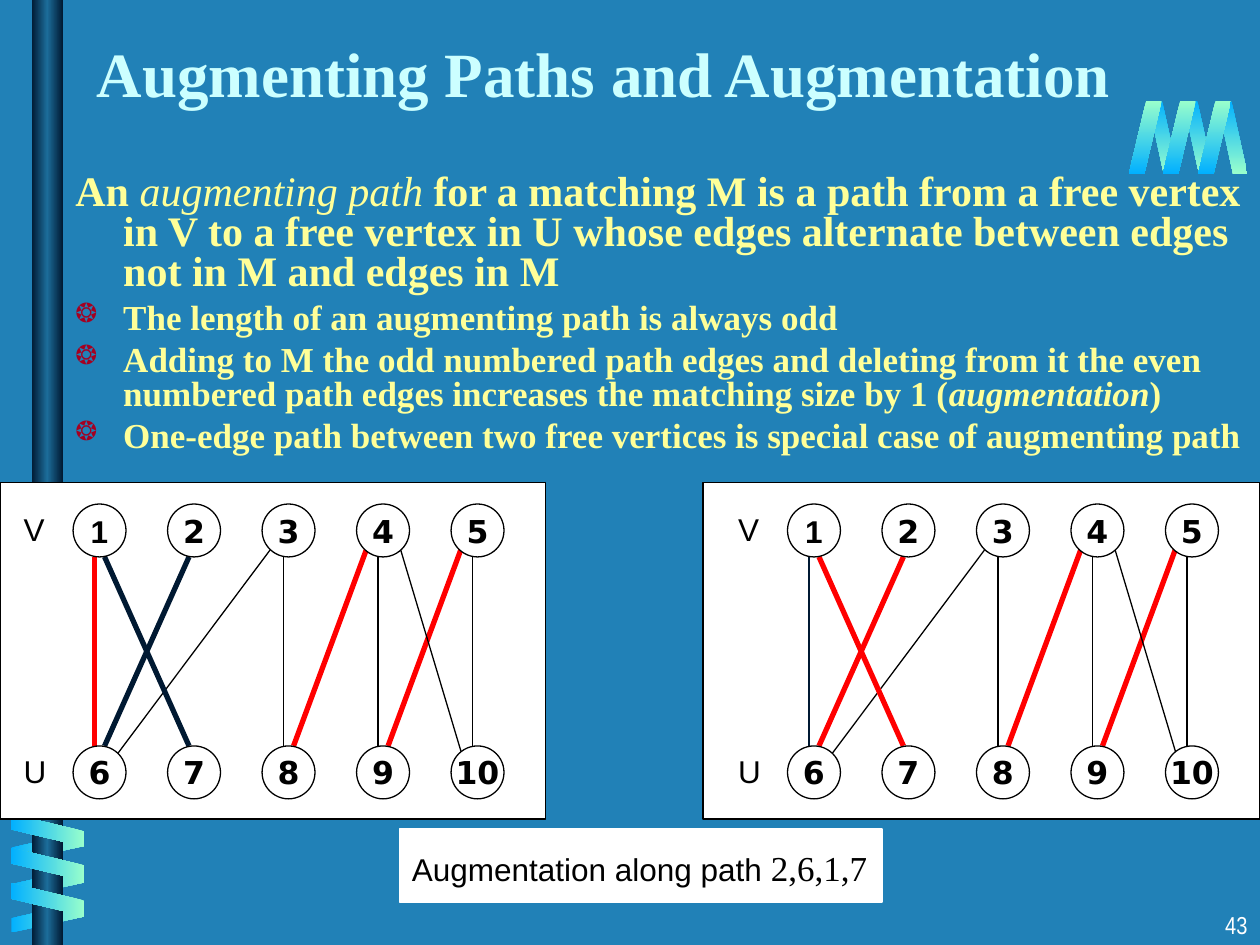
from lxml import etree
from pptx import Presentation, util as u
from pptx.dml.color import RGBColor
from pptx.enum import shapes as s, text as t
from pptx.oxml import ns

BLUE = RGBColor(0x21, 0x81, 0xB7)
NAVY = RGBColor(0x00, 0x19, 0x32)
STEEL = RGBColor(0x1C, 0x6D, 0x9A)
SKY = RGBColor(0x01, 0xB0, 0xFF)
MINT = RGBColor(0x99, 0xFF, 0xCC)
PALE = RGBColor(0xCC, 0xFF, 0xFF)
CREAM = RGBColor(0xFF, 0xFF, 0x99)
WINE = RGBColor(0xA5, 0x00, 0x21)
RED = RGBColor(0xFF, 0x00, 0x00)
BLACK = RGBColor(0x00, 0x00, 0x00)
WHITE = RGBColor(0xFF, 0xFF, 0xFF)
SERIF, SANS, ROUND = "Times New Roman", "Arial", "DejaVu Sans"

deck = Presentation()
deck.slide_width, deck.slide_height = u.Inches(10), u.Inches(7.5)
slide = deck.slides.add_slide(deck.slide_layouts[6])
slide.background.fill.solid()
slide.background.fill.fore_color.rgb = BLUE
tree = slide.shapes


def paint(shape, stops, angle=0, line=None):
    """Fill with one colour or an even gradient, and set the outline."""
    shape.shadow.inherit = False
    if len(stops) == 1:
        shape.fill.solid()
        shape.fill.fore_color.rgb = stops[0]
    else:
        shape.fill.gradient()
        grad = shape._element.spPr.find(ns.qn("a:gradFill"))
        grad.set("rotWithShape", "0")
        grad.find(ns.qn("a:lin")).set("ang", str(angle * 60000))
        band = grad.find(ns.qn("a:gsLst"))
        for old in list(band):
            band.remove(old)
        for i, tone in enumerate(stops):
            stop = etree.SubElement(band, ns.qn("a:gs"), pos=str(100000 * i // (len(stops) - 1)))
            etree.SubElement(stop, ns.qn("a:srgbClr"), val=str(tone))
    if line is None:
        shape.line.fill.background()
    else:
        shape.line.color.rgb = line
        shape.line.width = u.Pt(0.75)


def write(para, *runs):
    """Add runs of (words, font, size, colour, bold, italic)."""
    for words, face, size, tone, bold, slant in runs:
        run = para.add_run()
        run.text = words
        font = run.font
        font.name, font.size, font.bold, font.italic = face, u.Pt(size), bold, slant
        font.color.rgb = tone


# Springs behind and in front of the bars
top, side = (9.11, 9.39, 9.66), (6.43, 6.72, 6.99)
back = [(x, 0.8, 0.24, 180, 90) for x in top[::-1]] + [(0.26, y, 0.24, 90, 180) for y in side]
front = [(0.25, y, 0.26, 270, 180) for y in (6.3, 6.57, 6.85)]
front += [(x, 0.8, 0.26, 0, 90) for x in (9.51, 9.23, 8.96)]
for coils, tones in ((back, (SKY, MINT)), (front, (MINT, SKY))):
    for x, y, w, turn, angle in coils:
        coil = tree.add_shape(s.MSO_SHAPE.PARALLELOGRAM, u.Inches(x), u.Inches(y),
                              u.Inches(w), u.Inches(0.58))
        coil.adjustments[0] = 0.53
        coil.rotation = turn
        if coils is back:
            coil._element.spPr.find(ns.qn("a:xfrm")).set("flipH", "1")
        paint(coil, tones, angle)
    if coils is back:
        # Vertical and horizontal bars
        post = tree.add_shape(s.MSO_SHAPE.RECTANGLE, u.Inches(0.25), 0, u.Inches(0.25), u.Inches(7.5))
        paint(post, (NAVY, STEEL, NAVY), 180)
        pen = tree.build_freeform(10, 1, scale=u.Inches(1))
        pen.add_line_segments([(0.5, 1), (0.33, 1.12), (0.5, 1.25), (10, 1.25)])
        paint(pen.convert_to_shape(), (NAVY, STEEL, NAVY), 90)

# White panels: caption, left graph, right graph
for x, y, w, h, edge in ((3.17, 6.58, 3.83, 0.58, WHITE), (0, 3.83, 4.33, 2.67, BLACK),
                         (5.58, 3.83, 4.42, 2.67, BLACK)):
    panel = tree.add_shape(s.MSO_SHAPE.RECTANGLE, u.Inches(x), u.Inches(y), u.Inches(w), u.Inches(h))
    paint(panel, (WHITE,), line=edge)

# Graphs: edges as x1, y1, x2, y2, then the colour and width in each graph
thin, match, path = (BLACK, 0.75), (RED, 3), (NAVY, 3)
edges = [
    (2.25, 4.42, 2.25, 5.92, thin, thin),
    (3, 4.42, 3, 5.92, thin, thin),
    (3.75, 4.42, 3.75, 5.92, thin, thin),
    (2.17, 4.33, 0.92, 6, thin, thin),
    (2.92, 4.33, 2.33, 5.92, match, match),
    (3.67, 4.33, 3.08, 5.92, match, match),
    (3.17, 4.33, 3.67, 6, thin, thin),
    (1.5, 4.42, 0.83, 5.92, path, match),
    (0.83, 4.42, 1.5, 5.92, path, match),
    (0.75, 4.42, 0.75, 5.92, match, (NAVY, 0.75)),
]
for side, left in enumerate((0, 5.67)):
    for x1, y1, x2, y2, *looks in edges:
        edge = tree.add_connector(s.MSO_CONNECTOR.STRAIGHT, u.Inches(left + x1), u.Inches(y1),
                                  u.Inches(left + x2), u.Inches(y2))
        tone, width = looks[side]
        edge.line.color.rgb = tone
        edge.line.width = u.Pt(width)
        etree.SubElement(edge._element.spPr, ns.qn("a:effectLst"))
    for row, (name, y) in enumerate((("V", 4), ("U", 5.92))):
        label = tree.add_textbox(u.Inches(left + 0.09), u.Inches(y), u.Inches(0.37), u.Inches(0.4))
        label.text_frame.word_wrap = False
        write(label.text_frame.paragraphs[0], (name, SANS, 18, BLACK, False, False))
        for col in range(5):
            node = tree.add_shape(s.MSO_SHAPE.OVAL, u.Inches(left + 0.58 + 0.75 * col), u.Inches(y),
                                  u.Inches(0.42), u.Inches(0.42))
            paint(node, (WHITE,), line=BLACK)
            frame = node.text_frame
            frame.word_wrap = False
            frame.vertical_anchor = t.MSO_ANCHOR.MIDDLE
            frame.paragraphs[0].alignment = t.PP_ALIGN.CENTER
            num = 5 * row + col + 1
            face = SANS if num == 1 else ROUND
            write(frame.paragraphs[0], (str(num), face, 18, BLACK, True, False))

# Title, caption and slide number
texts = [
    (0.67, 0.17, 8.3, 0.75, t.MSO_ANCHOR.BOTTOM, t.PP_ALIGN.LEFT,
     [("Augmenting Paths and Augmentation", SERIF, 36, PALE, True, False)]),
    (3.17, 6.67, 3.83, 0.44, t.MSO_ANCHOR.TOP, t.PP_ALIGN.LEFT,
     [("Augmentation along path ", SANS, 18, BLACK, False, False),
      ("2,6,1,7", SERIF, 20, BLACK, False, False)]),
    (7.92, 7.17, 2.08, 0.33, t.MSO_ANCHOR.TOP, t.PP_ALIGN.RIGHT,
     [("43", "Arial Narrow", 14, WHITE, False, False)]),
]
for x, y, w, h, anchor, align, runs in texts:
    box = tree.add_textbox(u.Inches(x), u.Inches(y), u.Inches(w), u.Inches(h)).text_frame
    box.word_wrap = True
    box.vertical_anchor = anchor
    box.paragraphs[0].alignment = align
    write(box.paragraphs[0], *runs)

# Definition and bullets: each run is words, bold, italic
body = tree.add_textbox(u.Inches(0.5), u.Inches(1.33), u.Inches(9.5), u.Inches(2.42)).text_frame
body.word_wrap = True
paras = [
    [("An ", True, False), ("augmenting path", False, True),
     (" for a matching M is a path from a free vertex in V to a free vertex in U "
      "whose edges alternate between edges not in M and edges in M", True, False)],
    [("The length of an augmenting path is always odd", True, False)],
    [("Adding to M the odd numbered path edges and deleting from it the even numbered "
      "path edges increases the matching size by 1 (", True, False),
     ("augmentation", True, True), (")", True, False)],
    [("One-edge path between two free vertices is special case of augmenting path", True, False)],
]
for i, runs in enumerate(paras):
    para = body.add_paragraph() if i else body.paragraphs[0]
    para.line_spacing = 0.8
    props = para._p.get_or_add_pPr()
    props.set("marL", str(u.Inches(0.38)))
    props.set("indent", str(-u.Inches(0.38)))
    if i:
        para.space_before = u.Pt(5)
        tint = etree.SubElement(props, ns.qn("a:buClr"))
        etree.SubElement(tint, ns.qn("a:srgbClr"), val=str(WINE))
        etree.SubElement(props, ns.qn("a:buSzPct"), val="75000")
        etree.SubElement(props, ns.qn("a:buChar"), char="❂")
    size = 20 if i else 24
    write(para, *[(words, SERIF, size, CREAM, bold, slant) for words, bold, slant in runs])

deck.save("out.pptx")
